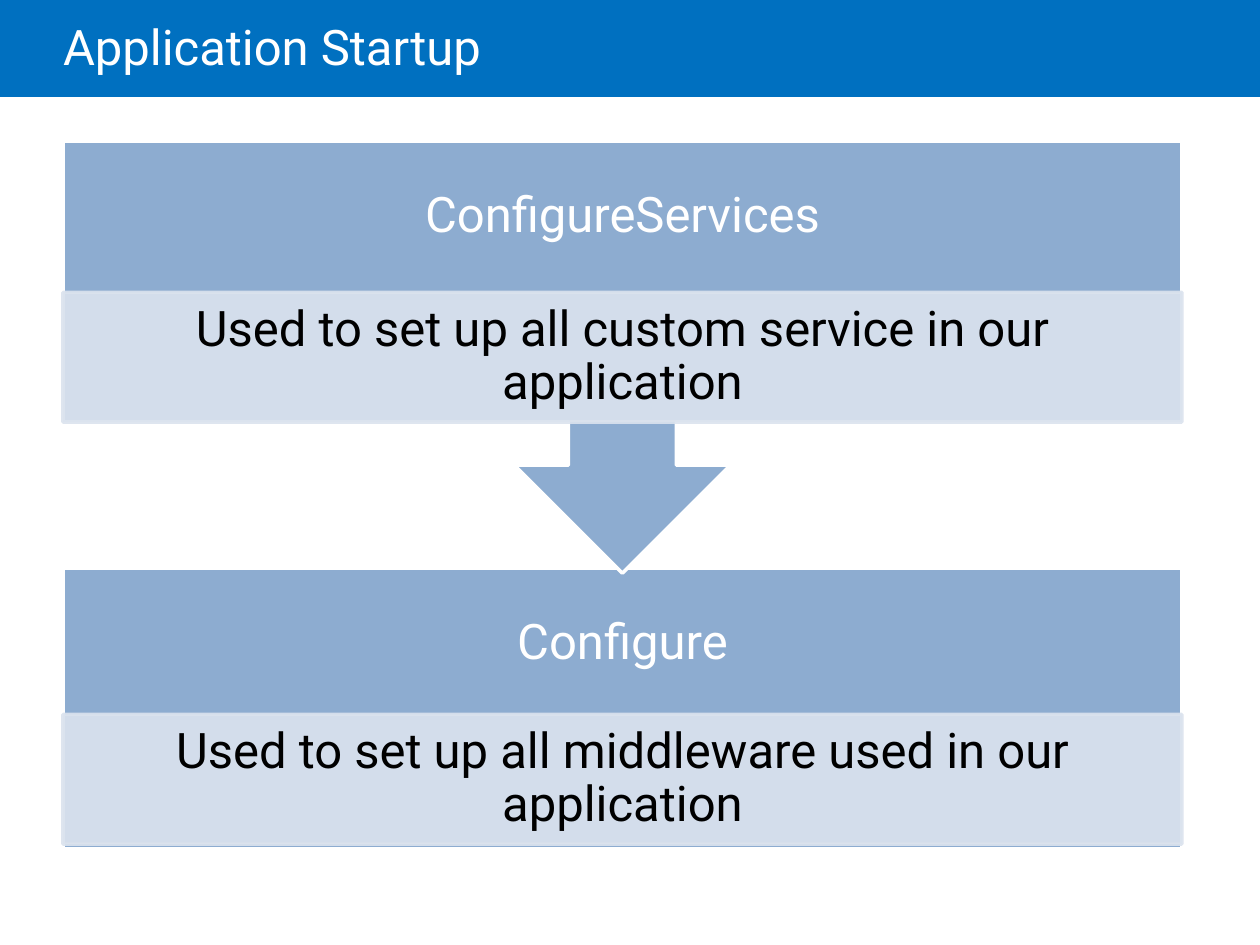
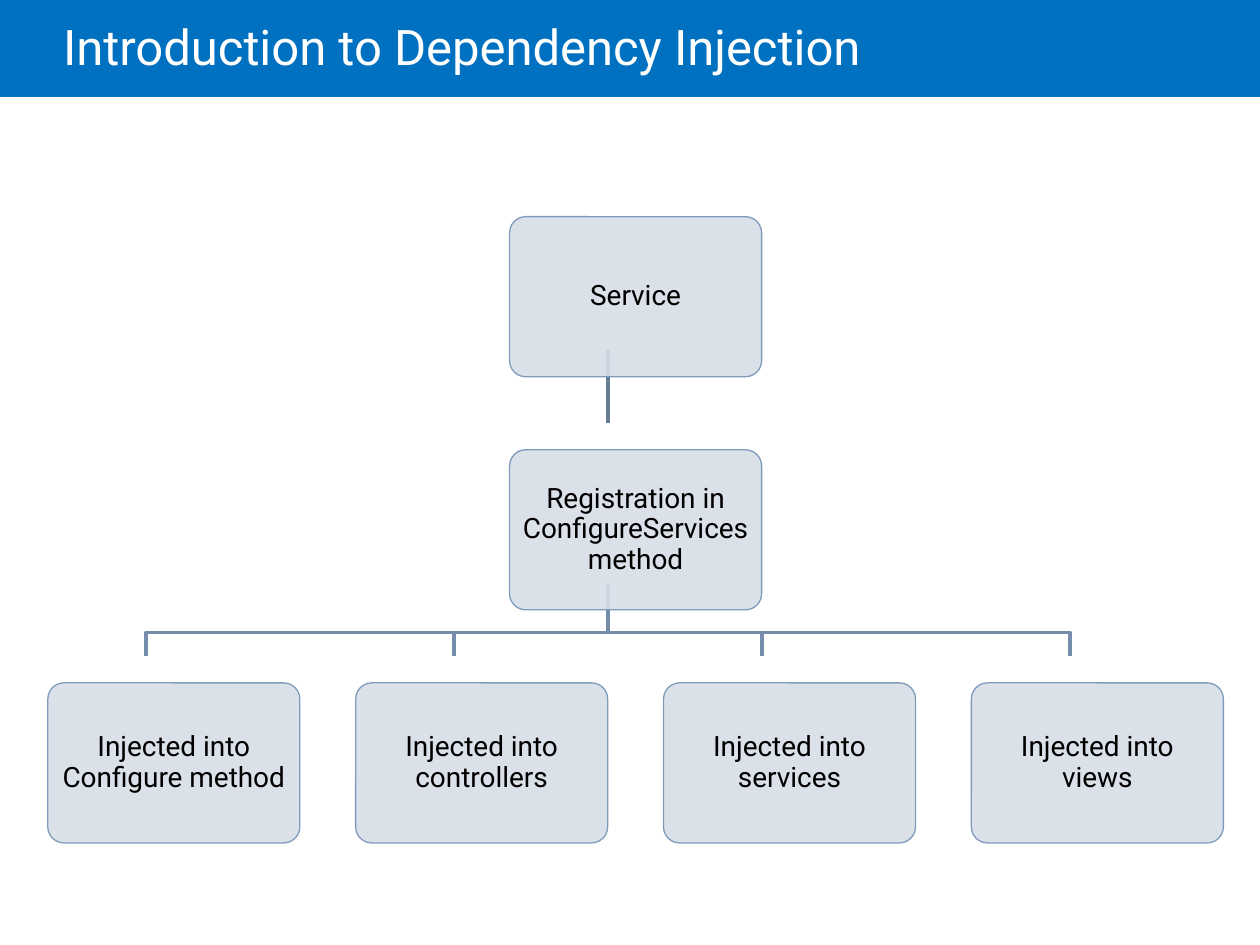
import pptx
import pptx.dml.color
import pptx.enum.shapes
import pptx.enum.text
import pptx.oxml
import pptx.oxml.ns
import pptx.util

Inches = pptx.util.Inches
Pt = pptx.util.Pt
Shape = pptx.enum.shapes.MSO_SHAPE
Align = pptx.enum.text.PP_ALIGN

FONT = "Roboto"
COLORS = {
    "band": "0070C0",
    "white": "FFFFFF",
    "black": "000000",
    "stage": "8DACD0",
    "detail": "DBE3EE",
    "card": "D8DEE7",
    "card_line": "7F9BBC",
    "branch": "738DAB",
    "trunk": "667C97",
}
STAGE_HEIGHT = 2.23
HEADING_HEIGHT = 1.2
DETAIL_HEIGHT = 1.03
CARD_WIDTH, CARD_HEIGHT = 2, 1.27
ANCHOR_X, ANCHOR_GAP = 0.78, 0.21


def rgb(name):
    return pptx.dml.color.RGBColor.from_string(COLORS[name])


def set_opacity(fill_parent, percent):
    color = fill_parent.find(".//" + pptx.oxml.ns.qn("a:srgbClr"))
    alpha = pptx.oxml.parse_xml(
        f'<a:alpha {pptx.oxml.ns.nsdecls("a")} val="{percent * 1000}"/>')
    color.append(alpha)


def set_line(shape, color, width):
    shape.line.color.rgb = rgb(color)
    shape.line.width = Pt(width)


def write_text(shape, text, size, color, insets, align=Align.CENTER, spacing=0.9):
    frame = shape.text_frame
    frame.text = text
    frame.word_wrap = True
    frame.auto_size = pptx.enum.text.MSO_AUTO_SIZE.NONE
    frame.vertical_anchor = pptx.enum.text.MSO_ANCHOR.MIDDLE
    (frame.margin_left, frame.margin_top,
     frame.margin_right, frame.margin_bottom) = map(Inches, insets)
    paragraph = frame.paragraphs[0]
    paragraph.alignment = align
    paragraph.line_spacing = spacing
    font = paragraph.runs[0].font
    font.name = FONT
    font.size = Pt(size)
    font.color.rgb = rgb(color)


def add_filled(slide, kind, box, fill):
    shape = slide.shapes.add_shape(kind, *map(Inches, box))
    shape.shadow.inherit = False
    shape.fill.solid()
    shape.fill.fore_color.rgb = rgb(fill)
    return shape


def add_title_band(slide):
    band = add_filled(slide, Shape.RECTANGLE, (0, 0, 10, 0.77), "band")
    band.line.fill.background()
    slide.slide_layout.shapes.element.insert(2, band.element)


def add_titled_slide(presentation, title_text):
    slide = presentation.slides.add_slide(presentation.slide_layouts.get_by_name("Title Only"))
    title = slide.shapes.title
    title.left, title.top, title.width, title.height = map(Inches, (0.5, 0, 8.5, 0.81))
    write_text(title, title_text, 28, "white", (0, 0.05, 0.1, 0.05), Align.LEFT, 0.85)
    return slide


def add_stage(slide, box, kind, heading, detail, detail_top):
    left, top, width, height = box
    stage = add_filled(slide, kind, box, "stage")
    set_line(stage, "white", 2)
    bottom_inset = STAGE_HEIGHT - HEADING_HEIGHT + 0.22
    write_text(stage, heading, 28, "white", (0.22, 0.22, 0.22, bottom_inset))

    panel = add_filled(slide, Shape.RECTANGLE,
                       (left, top + detail_top, width, DETAIL_HEIGHT), "detail")
    set_line(panel, "detail", 2)
    properties = panel.element.spPr
    set_opacity(properties.find(pptx.oxml.ns.qn("a:solidFill")), 90)
    set_opacity(properties.find(pptx.oxml.ns.qn("a:ln")), 90)
    write_text(panel, detail, 28, "black", (0.22, 0.04, 0.22, 0.04))


def add_startup_process(slide, box):
    left, top, width, height = box
    add_stage(slide, (left, top + height - STAGE_HEIGHT, width, STAGE_HEIGHT),
              Shape.RECTANGLE, "Configure",
              "Used to set up all middleware used in our application", 1.16)
    add_stage(slide, (left, top, width, 3.43),
              Shape.DOWN_ARROW_CALLOUT, "ConfigureServices",
              "Used to set up all custom service in our application", 1.2)


def add_card(slide, left, top, text):
    card = add_filled(slide, Shape.ROUNDED_RECTANGLE,
                      (left, top, CARD_WIDTH, CARD_HEIGHT), "card")
    card.adjustments[0] = 0.1
    set_opacity(card.element.spPr.find(pptx.oxml.ns.qn("a:solidFill")), 90)
    set_line(card, "card_line", 0.75)
    write_text(card, text, 16, "black", (0.06, 0.06, 0.06, 0.06))


def add_branch(slide, start_x, start_y, end_x, end_y):
    bend_y = end_y - 0.19
    points = [(Inches(x), Inches(y)) for x, y in
              ((start_x, bend_y), (end_x, bend_y), (end_x, end_y))]
    builder = slide.shapes.build_freeform(Inches(start_x), Inches(start_y))
    builder.add_line_segments(points, close=False)
    branch = builder.convert_to_shape()
    branch.shadow.inherit = False
    branch.fill.background()
    set_line(branch, "branch", 2)


def add_trunk(slide, x, start_y, end_y):
    trunk = slide.shapes.add_connector(
        pptx.enum.shapes.MSO_CONNECTOR.STRAIGHT, *map(Inches, (x, start_y, x, end_y)))
    trunk.element.spPr.append(
        pptx.oxml.parse_xml(f'<a:effectLst {pptx.oxml.ns.nsdecls("a")}/>'))
    set_line(trunk, "trunk", 2)


def add_injection_tree(slide, box):
    left, top, width, height = box
    targets = ["Injected into Configure method", "Injected into controllers",
               "Injected into services", "Injected into views"]
    column_step = (width - CARD_WIDTH) / (len(targets) - 1)
    row_step = (height - CARD_HEIGHT) / 2
    lefts = [left + index * column_step for index in range(len(targets))]
    parent_left = (lefts[0] + lefts[-1]) / 2
    service_top, registration_top, target_top = [top + row * row_step for row in range(3)]
    trunk_x = parent_left + ANCHOR_X
    exit_offset = CARD_HEIGHT - ANCHOR_GAP

    for target_left in reversed(lefts):
        add_branch(slide, trunk_x, registration_top + exit_offset,
                   target_left + ANCHOR_X, target_top - ANCHOR_GAP)
    add_trunk(slide, trunk_x, service_top + exit_offset, registration_top - ANCHOR_GAP)

    add_card(slide, parent_left, service_top, "Service")
    add_card(slide, parent_left, registration_top, "Registration in ConfigureServices method")
    for target_left, target in zip(lefts, targets):
        add_card(slide, target_left, target_top, target)


def main():
    presentation = pptx.Presentation()
    presentation.slide_width = Inches(10)
    presentation.slide_height = Inches(7.5)

    startup = add_titled_slide(presentation, "Application Startup")
    add_title_band(startup)
    add_startup_process(startup, (0.5, 1.12, 8.88, 5.62))

    injection = add_titled_slide(presentation, "Introduction to Dependency Injection")
    add_injection_tree(injection, (0.38, 1.72, 9.33, 4.97))

    presentation.save("out.pptx")


if __name__ == "__main__":
    main()
